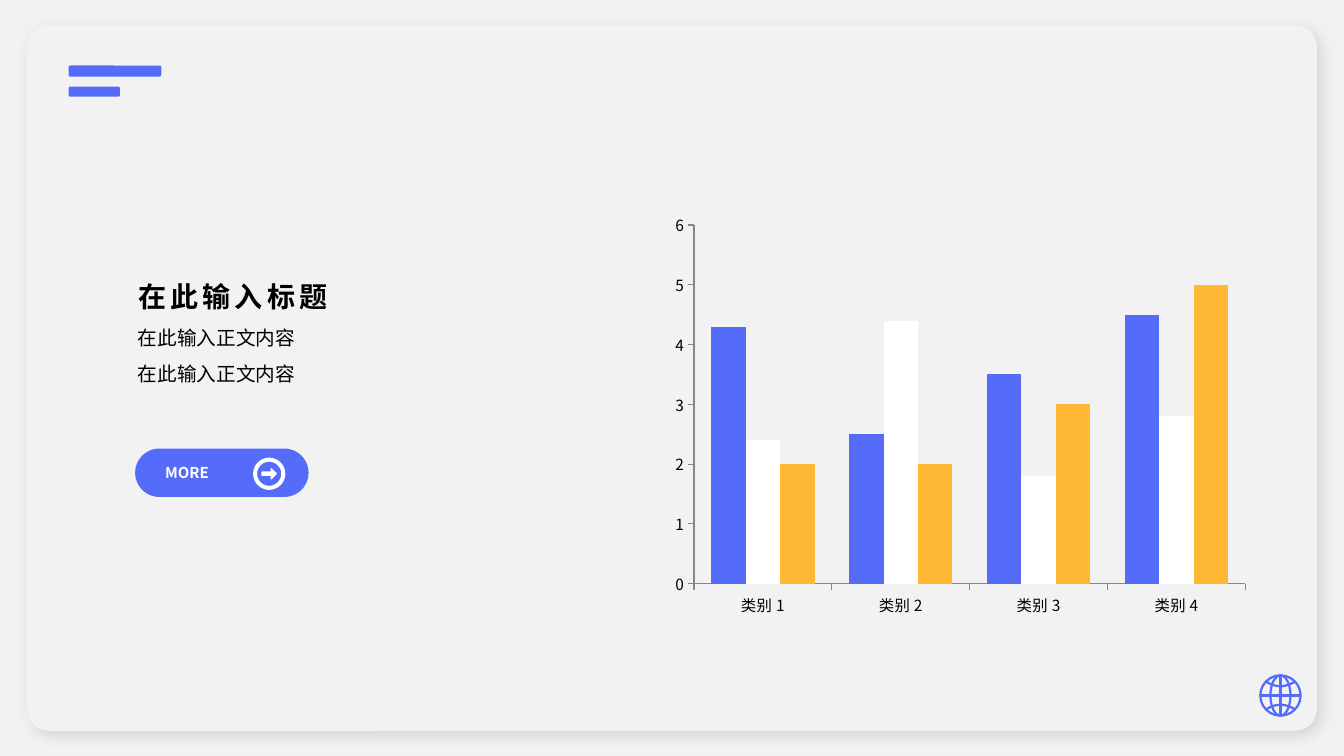
from dataclasses import dataclass

from lxml.etree import SubElement
from pptx import Presentation
from pptx.chart.data import CategoryChartData
from pptx.dml.color import RGBColor
from pptx.enum.chart import XL_CHART_TYPE as Kind, XL_TICK_MARK as Tick
from pptx.enum.shapes import MSO_CONNECTOR as Link, MSO_SHAPE as Form
from pptx.enum.text import MSO_ANCHOR as Anchor, MSO_AUTO_SIZE as Fit, PP_ALIGN as Align
from pptx.oxml.ns import qn
from pptx.util import Inches, Pt


@dataclass(frozen=True)
class Theme:
    font: str = "Noto Sans CJK SC"
    page: str = "F2F2F2"
    shade: str = "D4D4D4"
    blue: str = "556CFB"
    gold: str = "FEB834"
    white: str = "FFFFFF"
    black: str = "000000"
    axis: str = "868686"
    head: float = 20
    body: float = 14
    label: float = 11
    button: float = 10.7


T = Theme()


def rgb(code):
    return RGBColor.from_string(code)


def paint(fill, code):
    fill.solid()
    fill.fore_color.rgb = rgb(code)


def style(font, size, color, bold=False):
    font.name, font.size, font.bold = T.font, Pt(size), bold
    font.color.rgb = rgb(color)
    SubElement(font._element, qn("a:ea")).set("typeface", T.font)


def flat(shape, fill=None, line=None, width=1):
    shape.shadow.inherit = False
    if fill:
        paint(shape.fill, fill)
    else:
        shape.fill.background()
    if line:
        shape.line.color.rgb = rgb(line)
        shape.line.width = Pt(width)
    else:
        shape.line.fill.background()
    return shape


def block(slide, form, x, y, w, h, adj=None, **look):
    shape = slide.shapes.add_shape(form, Inches(x), Inches(y), Inches(w), Inches(h))
    if adj is not None:
        shape.adjustments[0] = adj
    return flat(shape, **look)


def panel(slide, x, y, w, h):
    card = block(slide, Form.ROUNDED_RECTANGLE, x, y, w, h, 0.03, fill=T.page)
    effects = card._element.spPr.find(qn("a:effectLst"))
    shadow = SubElement(effects, qn("a:outerShdw"), blurRad=str(Pt(10)),
                        dist=str(Pt(5)), dir="2700000", algn="tl", rotWithShape="0")
    SubElement(shadow, qn("a:srgbClr"), val=T.shade)


def badge(slide, x, y):
    for dy, w, h in ((0, 0.92, 0.11), (0.21, 0.51, 0.1)):
        block(slide, Form.ROUNDED_RECTANGLE, x, y + dy, w, h, fill=T.blue)


def copy_text(slide, x, y):
    title = slide.shapes.title
    slide.shapes._spTree.append(title._element)
    title.left, title.top = Inches(x), Inches(y)
    title.width, title.height = Inches(2.14), Inches(0.44)
    frame = title.text_frame
    frame.text = "在此输入标题"
    frame.word_wrap, frame.auto_size = False, Fit.SHAPE_TO_FIT_TEXT
    frame.vertical_anchor = Anchor.TOP
    para = frame.paragraphs[0]
    para.alignment = Align.LEFT
    style(para.font, T.head, T.black, True)
    para.font._element.set("spc", "300")

    body = slide.shapes.add_textbox(Inches(x), Inches(y + 0.35), Inches(2.12), Inches(0.77))
    frame = body.text_frame
    frame.word_wrap, frame.auto_size = True, Fit.SHAPE_TO_FIT_TEXT
    frame.text = "\n".join(["在此输入正文内容"] * 2)
    for para in frame.paragraphs:
        para.line_spacing = 1.5
        style(para.font, T.body, T.black)


def button(slide, x, y, w, h):
    block(slide, Form.ROUNDED_RECTANGLE, x, y, w, h, 0.5, fill=T.blue)
    label = slide.shapes.add_textbox(Inches(x + 0.08), Inches(y + 0.1), Inches(0.87), Inches(0.27))
    frame = label.text_frame
    frame.word_wrap = True
    frame.text = "MORE"
    para = frame.paragraphs[0]
    para.alignment = Align.CENTER
    style(para.font, T.button, T.white, True)
    block(slide, Form.DONUT, x + 1.17, y + 0.09, 0.32, 0.32, 0.125, fill=T.white)
    block(slide, Form.RIGHT_ARROW, x + 1.26, y + 0.2, 0.14, 0.1, 0.3,
          fill=T.white, line=T.white)


def bars(slide, x, y, w, h):
    data = CategoryChartData()
    data.categories = [f"类别 {n}" for n in range(1, 5)]
    rows = ((4.3, 2.5, 3.5, 4.5), (2.4, 4.4, 1.8, 2.8), (2, 2, 3, 5))
    for n, row in enumerate(rows, 1):
        data.add_series(f"Series {n}", row)
    chart = slide.shapes.add_chart(Kind.COLUMN_CLUSTERED, Inches(x), Inches(y),
                                   Inches(w), Inches(h), data).chart
    chart.has_legend = chart.has_title = False
    style(chart.font, T.label, T.black)
    plot = chart.plots[0]
    plot.gap_width, plot.overlap, plot.vary_by_categories = 100, 0, False
    for series, color in zip(plot.series, (T.blue, T.white, T.gold)):
        paint(series.format.fill, color)
        series.invert_if_negative = False
    for axis in (chart.category_axis, chart.value_axis):
        axis.has_major_gridlines = False
        axis.major_tick_mark, axis.minor_tick_mark = Tick.OUTSIDE, Tick.NONE
        axis.format.line.color.rgb = rgb(T.axis)
        axis.format.line.width = Pt(0.75)
    scale = chart.value_axis
    scale.minimum_scale, scale.maximum_scale, scale.major_unit = 0, 6, 1


def globe(slide, x, y, size):
    mid, thick = size / 2, 1.6
    for wide in (size, size / 2):
        block(slide, Form.OVAL, x + mid - wide / 2, y, wide, size, line=T.blue, width=thick)
    for x1, y1, x2, y2 in ((0, mid, size, mid), (mid, 0, mid, size)):
        line = slide.shapes.add_connector(Link.STRAIGHT, Inches(x + x1), Inches(y + y1),
                                          Inches(x + x2), Inches(y + y2))
        line.line.color.rgb, line.line.width = rgb(T.blue), Pt(thick)
        SubElement(line._element.spPr, qn("a:effectLst"))
    for side in (-1, 1):
        points = []
        for step in range(-6, 7):
            t = step / 6
            rise = mid * (0.46 + 0.22 * t * t)
            points.append((Inches(x + mid + 0.7 * mid * t), Inches(y + mid + side * rise)))
        path = slide.shapes.build_freeform(*points[0])
        path.add_line_segments(points[1:], close=False)
        flat(path.convert_to_shape(), line=T.blue, width=thick)


def main():
    deck = Presentation()
    deck.slide_width, deck.slide_height = Inches(13.33), Inches(7.5)
    slide = deck.slides.add_slide(deck.slide_layouts[5])
    paint(slide.background.fill, T.page)
    panel(slide, 0.27, 0.25, 12.79, 7)
    badge(slide, 0.68, 0.65)
    bars(slide, 6.58, 2.04, 5.89, 4.15)
    button(slide, 1.34, 4.45, 1.72, 0.48)
    copy_text(slide, 1.27, 2.72)
    globe(slide, 12.5, 6.7, 0.4)
    deck.save("out.pptx")


if __name__ == "__main__":
    main()
